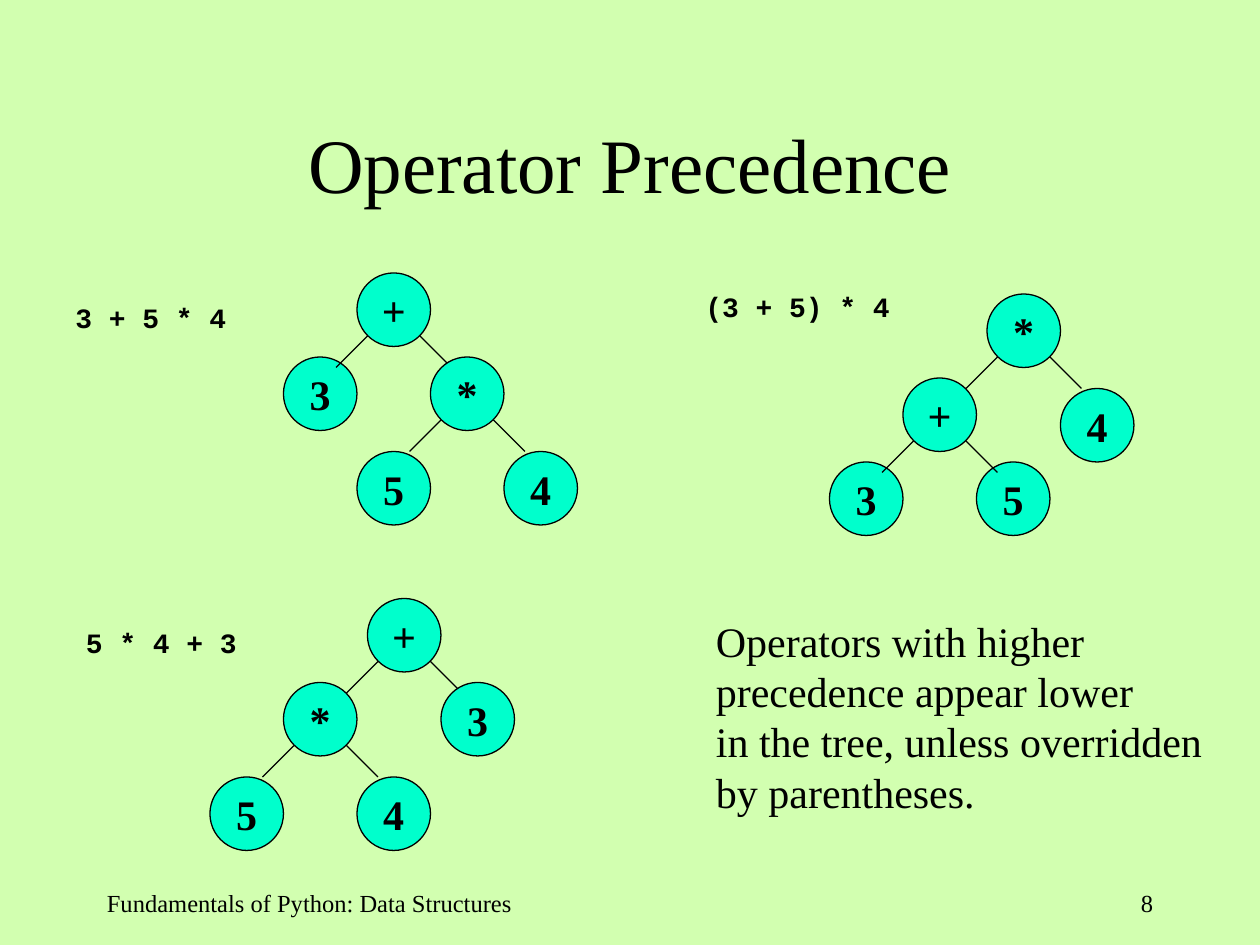
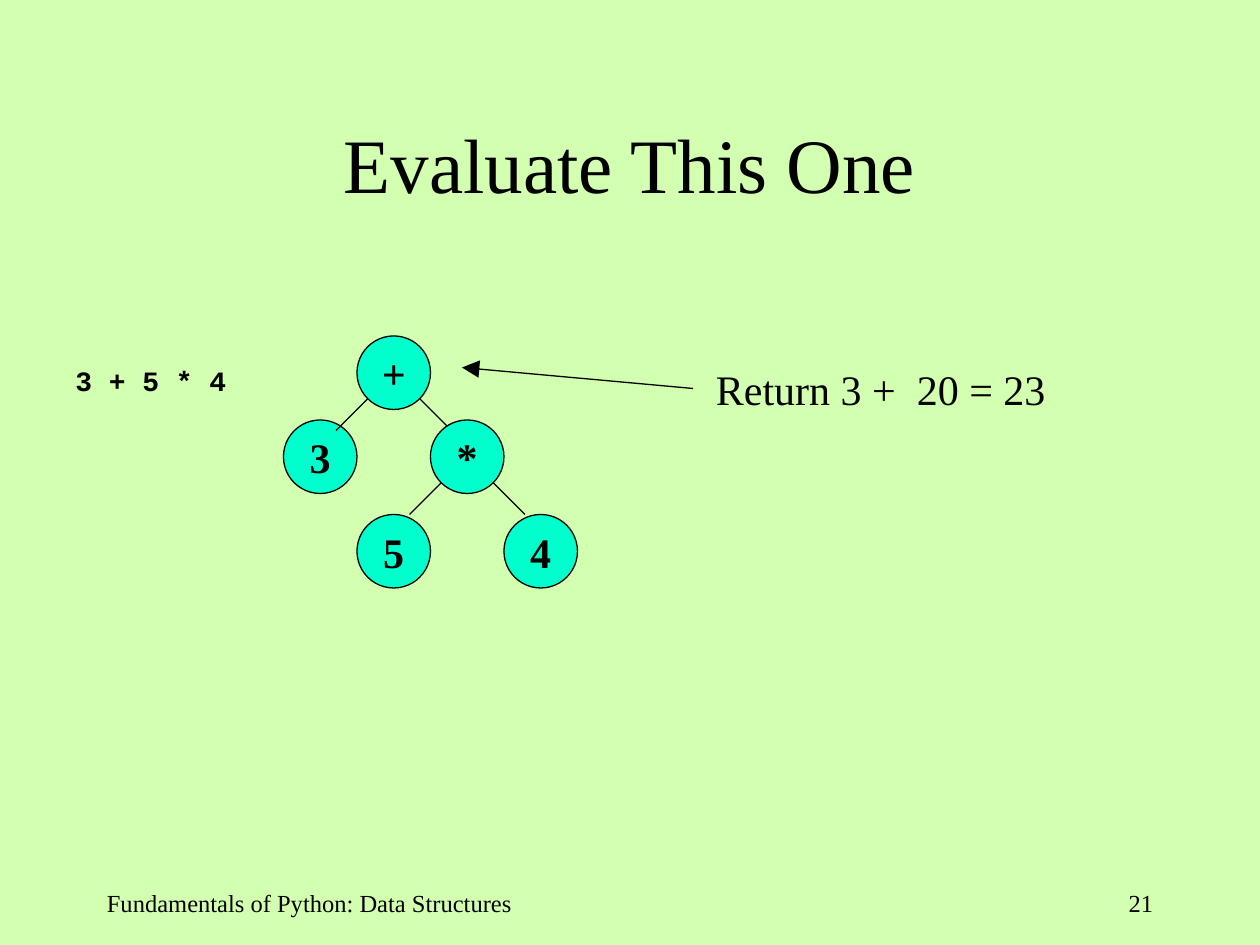
from dataclasses import dataclass

from lxml.etree import SubElement
from pptx import Presentation
from pptx.dml.color import RGBColor
from pptx.enum.shapes import MSO_CONNECTOR, MSO_SHAPE
from pptx.enum.text import MSO_ANCHOR, PP_ALIGN
from pptx.oxml.ns import qn
from pptx.util import Inches, Pt

LIME = RGBColor(0xD2, 0xFF, 0xB0)
AQUA = RGBColor(0x00, 0xFF, 0xCC)
BLACK = RGBColor(0x00, 0x00, 0x00)
SERIF = "Times New Roman"
MONO = "Courier New"

WIDE, HIGH = Inches(10), Inches(7.5)
COLS, ROWS = 120, 90
NODE = 7  # node diameter in grid cells


@dataclass
class Node:
    """A tree node, shifted from its parent; top puts it over its edge."""
    sign: str
    dx: float = 0
    dy: float = 0
    kids: tuple = ()
    top: bool = False


SUM_FIRST = Node("+", kids=(
    Node("3", -7, 8),
    Node("*", 7, 8, (Node("5", -7, 9), Node("4", 7, 9)), top=True)))
GROUPED = Node("*", kids=(
    Node("+", -8, 8, (Node("3", -7, 8), Node("5", 7, 8))),
    Node("4", 7, 9)))
SUM_LAST = Node("+", kids=(
    Node("*", -8, 8, (Node("5", -7, 9), Node("4", 7, 9)), top=True),
    Node("3", 7, 8, top=True)))


def grid(*cells):
    """Turn alternating columns and rows into lengths."""
    units = (WIDE / COLS, HIGH / ROWS)
    return [round(cell * units[i % 2]) for i, cell in enumerate(cells)]


def write(frame, words, size=24, face=SERIF, bold=False,
          align=PP_ALIGN.LEFT, anchor=MSO_ANCHOR.TOP, wrap=True):
    frame.text = words
    frame.word_wrap = wrap
    frame.vertical_anchor = anchor
    for para in frame.paragraphs:
        para.alignment = align
        para.font.size = Pt(size)
        para.font.name = face
        para.font.bold = bold
        para.font.color.rgb = BLACK


def label(slide, box, words, **style):
    write(slide.shapes.add_textbox(*grid(*box)).text_frame, words, **style)


def edge(slide, ends, arrow=False):
    line = slide.shapes.add_connector(MSO_CONNECTOR.STRAIGHT, *grid(*ends))
    line.line.color.rgb = BLACK
    line.line.width = Pt(0.75)
    if arrow:
        SubElement(line.line._get_or_add_ln(), qn("a:tailEnd"),
                   type="triangle", w="lg", len="lg")
    SubElement(line._element.spPr, qn("a:effectLst"))


def disc(slide, col, row, sign):
    shape = slide.shapes.add_shape(MSO_SHAPE.OVAL, *grid(col, row, NODE, NODE))
    shape.shadow.inherit = False
    shape.fill.solid()
    shape.fill.fore_color.rgb = AQUA
    shape.line.color.rgb = BLACK
    shape.line.width = Pt(0.75)
    write(shape.text_frame, sign, bold=True, align=PP_ALIGN.CENTER,
          anchor=MSO_ANCHOR.MIDDLE, wrap=False)


def tree(slide, col, row, node):
    """Draw a node at a cell, then its kids and the edges to them."""
    disc(slide, col, row, node.sign)
    for top in (False, True):
        if top and node.kids:
            edge(slide, (col + 1, row + 6, col - 2, row + 9))
            edge(slide, (col + 6, row + 6, col + 9, row + 9))
        for kid in node.kids:
            if kid.top == top:
                tree(slide, col + kid.dx, row + kid.dy, kid)


def example(slide, col, row, code, root, drop=2, width=17):
    """Place an expression and, to its right, its tree."""
    label(slide, (col, row + drop, width, 4.4), code, size=16, face=MONO, bold=True)
    tree(slide, col + 28, row, root)


def base(deck, title, number):
    slide = deck.slides.add_slide(deck.slide_layouts[5])
    head = slide.shapes.title
    head.left, head.top, head.width, head.height = grid(9, 8, 102, 15)
    write(head.text_frame, title, size=44, align=PP_ALIGN.CENTER,
          anchor=MSO_ANCHOR.MIDDLE)
    label(slide, (9, 84, 47, 6), "Fundamentals of Python: Data Structures", size=14)
    label(slide, (86, 84, 25, 6), str(number), size=14, align=PP_ALIGN.RIGHT)
    return slide


def rules(deck):
    slide = base(deck, "Operator Precedence", 8)
    example(slide, 6, 26, "3 + 5 * 4", SUM_FIRST)
    example(slide, 66, 28, "(3 + 5) * 4", GROUPED, drop=-1, width=20.5)
    example(slide, 7, 57, "5 * 4 + 3", SUM_LAST)
    label(slide, (67, 58, 49, 20.4),
          "Operators with higher\nprecedence appear lower\n"
          "in the tree, unless overridden\nby parentheses.")


def result(deck):
    slide = base(deck, "Evaluate This One", 21)
    example(slide, 6, 32, "3 + 5 * 4", SUM_FIRST)
    edge(slide, (66, 37, 44, 35), arrow=True)
    label(slide, (67, 34, 34.5, 6), "Return 3 +  20 = 23")


def main():
    deck = Presentation()
    deck.slide_width, deck.slide_height = WIDE, HIGH
    fill = deck.slide_master.background.fill
    fill.solid()
    fill.fore_color.rgb = LIME
    rules(deck)
    result(deck)
    deck.save("out.pptx")


if __name__ == "__main__":
    main()
